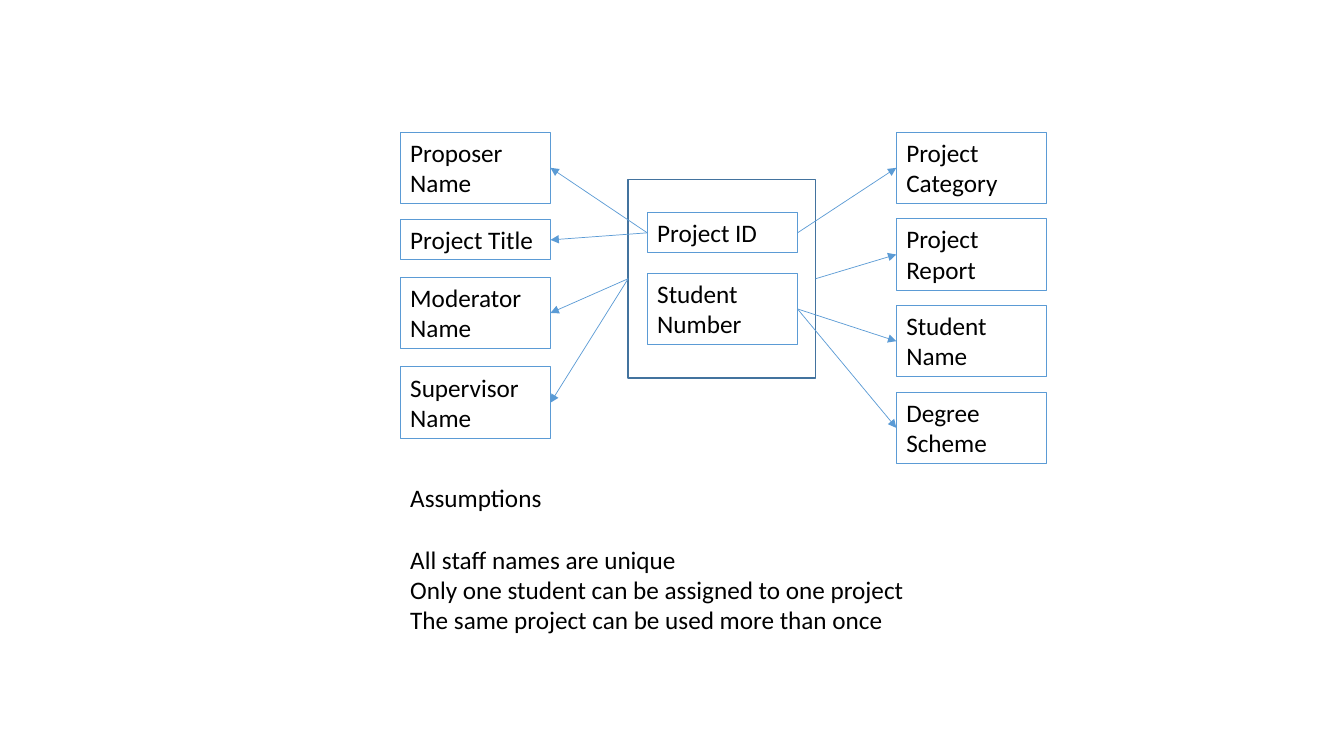
from pptx import Presentation
from pptx.dml.color import RGBColor
from pptx.enum.shapes import MSO_CONNECTOR as Connector, MSO_SHAPE as Shape
from pptx.enum.text import MSO_ANCHOR as Anchor, MSO_AUTO_SIZE as AutoSize, PP_ALIGN as Align
from pptx.oxml.ns import qn
from pptx.util import Inches, Pt
from lxml import etree

COLORS = {"box": "5B9BD5", "frame": "43739E", "text": "000000"}
LEFT_SITE, RIGHT_SITE = 1, 3  # connection sites of a rectangle
BOX_WIDTH, ONE_LINE, TWO_LINES = 1.49, 0.4, 0.71


def write_text(shape, text, size=18, font="Calibri", color="text", first_gap=0):
    frame = shape.text_frame
    frame.text = text
    frame.word_wrap = True
    frame.auto_size = AutoSize.SHAPE_TO_FIT_TEXT
    frame.vertical_anchor = Anchor.TOP
    for paragraph in frame.paragraphs:
        paragraph.alignment = Align.LEFT
        paragraph.font.size = Pt(size)
        paragraph.font.name = font
        paragraph.font.color.rgb = RGBColor.from_string(COLORS[color])
    frame.paragraphs[0].space_after = Pt(first_gap)


def add_outline(left, top, width, height, color, weight):
    shape = slide.shapes.add_shape(
        Shape.RECTANGLE, Inches(left), Inches(top), Inches(width), Inches(height))
    shape.shadow.inherit = False
    shape.fill.background()
    shape.line.color.rgb = RGBColor.from_string(COLORS[color])
    shape.line.width = Pt(weight)
    return shape


presentation = Presentation()
presentation.slide_width = Inches(13.33)
presentation.slide_height = Inches(7.5)
slide = presentation.slides.add_slide(presentation.slide_layouts[6])

# Attribute boxes: name, left, top, height
attributes = [
    ("Proposer Name", 3.97, 1.31, TWO_LINES),
    ("Project Title", 3.97, 2.18, ONE_LINE),
    ("Moderator Name", 3.97, 2.75, TWO_LINES),
    ("Supervisor Name", 3.97, 3.64, TWO_LINES),
    ("Project ID", 6.42, 2.11, ONE_LINE),
    ("Student Number", 6.42, 2.71, TWO_LINES),
]
right_names = ["Project Category", "Project Report", "Student Name", "Degree Scheme"]
for row, name in enumerate(right_names):
    attributes.append((name, 8.89, 1.31 + 0.86 * row, TWO_LINES))

boxes = {}
for name, left, top, height in attributes:
    boxes[name] = add_outline(left, top, BOX_WIDTH, height, "box", 0.75)
    write_text(boxes[name], name)

# Frame around the composite key
boxes["Key"] = add_outline(6.23, 1.78, 1.86, 1.97, "frame", 1)

# Dependency arrows, from determinant to attribute
dependencies = [
    ("Student Number", "Student Name", RIGHT_SITE),
    ("Student Number", "Degree Scheme", RIGHT_SITE),
    ("Project ID", "Project Category", RIGHT_SITE),
    ("Key", "Project Report", RIGHT_SITE),
    ("Project ID", "Proposer Name", LEFT_SITE),
    ("Key", "Supervisor Name", LEFT_SITE),
    ("Key", "Moderator Name", LEFT_SITE),
    ("Project ID", "Project Title", LEFT_SITE),
]
for source, target, site in dependencies:
    arrow = slide.shapes.add_connector(Connector.STRAIGHT, 0, 0, 0, 0)
    arrow.begin_connect(boxes[source], site)
    arrow.end_connect(boxes[target], LEFT_SITE + RIGHT_SITE - site)
    arrow.line.color.rgb = RGBColor.from_string(COLORS["box"])
    arrow.line.width = Pt(0.5)
    etree.SubElement(arrow.line._get_or_add_ln(), qn("a:tailEnd"), type="triangle")
    etree.SubElement(arrow._element.spPr, qn("a:effectLst"))

# Assumptions
assumptions = slide.shapes.add_textbox(Inches(3.97), Inches(4.74), Inches(6.42), Inches(1.62))
write_text(assumptions, "\n".join([
    "Assumptions",
    "All staff names are unique",
    "Only one student can be assigned to one project",
    "The same project can be used more than once",
]), first_gap=22)

presentation.save("out.pptx")
